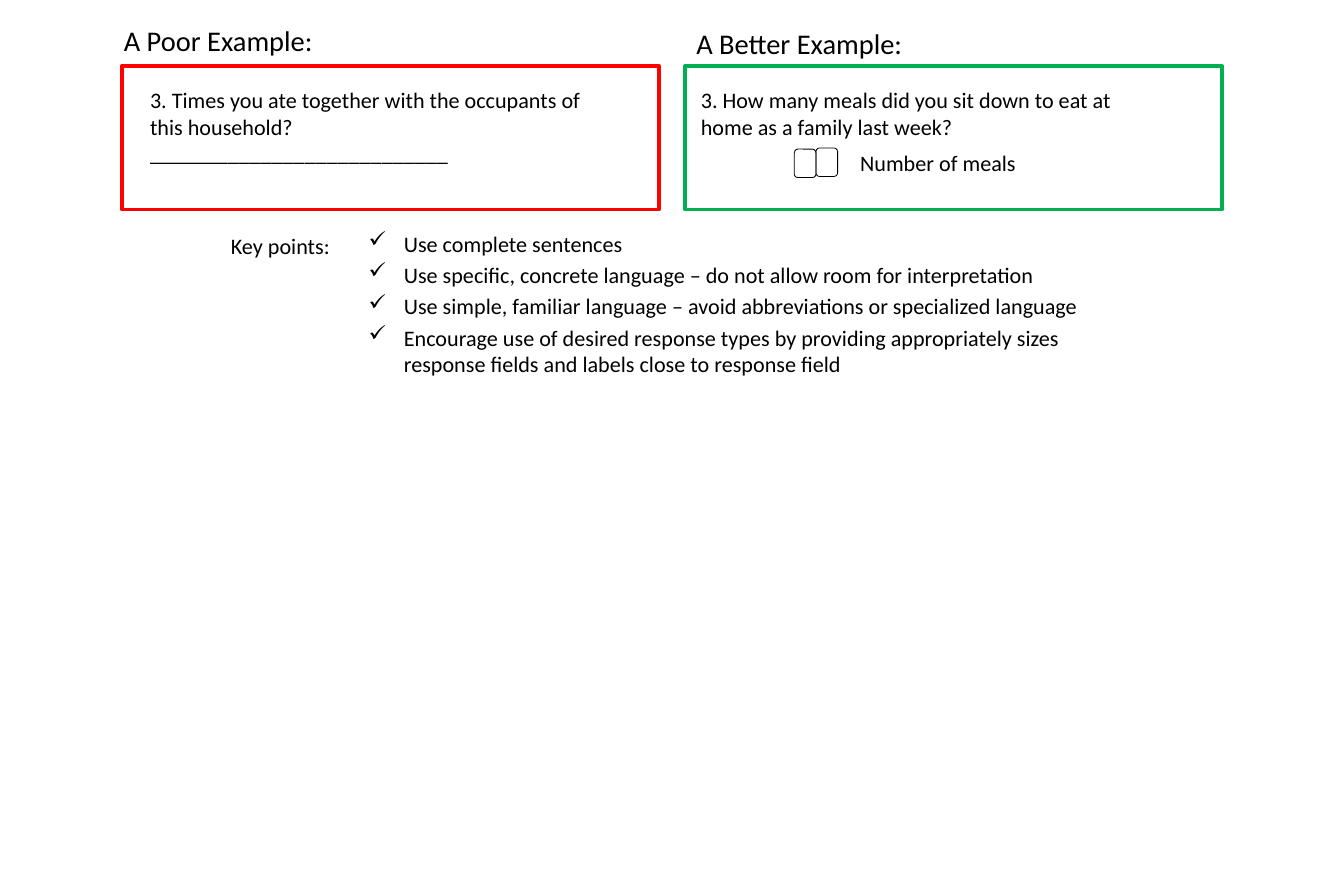
from lxml.etree import SubElement
from pptx import Presentation
from pptx.dml.color import RGBColor
from pptx.enum.shapes import MSO_SHAPE as Shape
from pptx.enum.text import MSO_AUTO_SIZE as AutoSize
from pptx.oxml.ns import qn
from pptx.util import Inches, Pt

BLACK = RGBColor(0, 0, 0)
RED = RGBColor(0xFF, 0, 0)
GREEN = RGBColor(0, 0xB0, 0x50)
FONT = "Calibri"

# Content
POOR_QUESTION = [
    "3. Times you ate together with the occupants of this household?",
    "_" * 27,
]
BETTER_QUESTION = "3. How many meals did you sit down to eat at home as a family last week?"
ANSWER_LABEL = "Number of meals"
KEY_POINTS = [
    "Use complete sentences",
    "Use specific, concrete language – do not allow room for interpretation",
    "Use simple, familiar language – avoid abbreviations or specialized language",
    "Encourage use of desired response types by providing appropriately sizes "
    "response fields and labels close to response field",
]

# Layout in inches
FRAME_TOP, FRAME_W, FRAME_H = 0.58, 4.72, 1.26
FRAMES = [(1.07, RED), (6.02, GREEN)]
HEADINGS = [("A Poor Example:", 0.99, 0.15), ("A Better Example:", 6.02, 0.18)]
QUESTION_TOP, QUESTION_W = 0.71, 4.27
FIELD_W, FIELD_H = 0.19, 0.25
FIELDS = [(6.98, 1.31), (6.98 + FIELD_W, 1.3)]

prs = Presentation()
prs.slide_width, prs.slide_height = Inches(11.81), Inches(7.87)
s = prs.slides.add_slide(prs.slide_layouts[6])


def add_outline(kind, x, y, w, h, color, weight):
    sp = s.shapes.add_shape(kind, Inches(x), Inches(y), Inches(w), Inches(h))
    sp.shadow.inherit = False
    sp.fill.background()
    sp.line.color.rgb = color
    sp.line.width = Pt(weight)


def add_text(paras, x, y, w, h, size=14, after=0, bullet=None, indents=()):
    """Add one paragraph per text; indents holds left margins by paragraph."""
    box = s.shapes.add_textbox(Inches(x), Inches(y), Inches(w), Inches(h))
    tf = box.text_frame
    tf.word_wrap = True
    tf.auto_size = AutoSize.SHAPE_TO_FIT_TEXT
    for i, text in enumerate(paras):
        p = tf.paragraphs[0] if i == 0 else tf.add_paragraph()
        p.space_after = Pt(after)
        r = p.add_run()
        r.text = text
        r.font.name, r.font.size = FONT, Pt(size)
        r.font.color.rgb = BLACK
        pPr = p._p.get_or_add_pPr()
        if i < len(indents):
            pPr.set("marL", str(Inches(indents[i])))
        if bullet:
            hang = Inches(0.31)
            pPr.set("marL", str(hang))
            pPr.set("indent", str(-hang))
            SubElement(pPr, qn("a:buChar")).set("char", bullet)


# Frames and headings
for x, color in FRAMES:
    add_outline(Shape.RECTANGLE, x, FRAME_TOP, FRAME_W, FRAME_H, color, 2.25)
for text, x, y in HEADINGS:
    add_text([text], x, y, 4.31, 0.4, size=18)

# Questions
add_text(POOR_QUESTION, 1.22, QUESTION_TOP, QUESTION_W, 1.04)
add_text([BETTER_QUESTION, ANSWER_LABEL], 6.06, QUESTION_TOP, QUESTION_W, 0.89,
         after=6, indents=(0, 1.4))

# Answer fields
for x, y in FIELDS:
    add_outline(Shape.ROUNDED_RECTANGLE, x, y, FIELD_W, FIELD_H, BLACK, 0.5)

# Key points
add_text(["Key points:"], 1.93, 1.99, 1.19, 0.34, after=3)
add_text(KEY_POINTS, 3.14, 1.97, 6.89, 1.45, after=3, bullet="✓")

prs.save("out.pptx")
